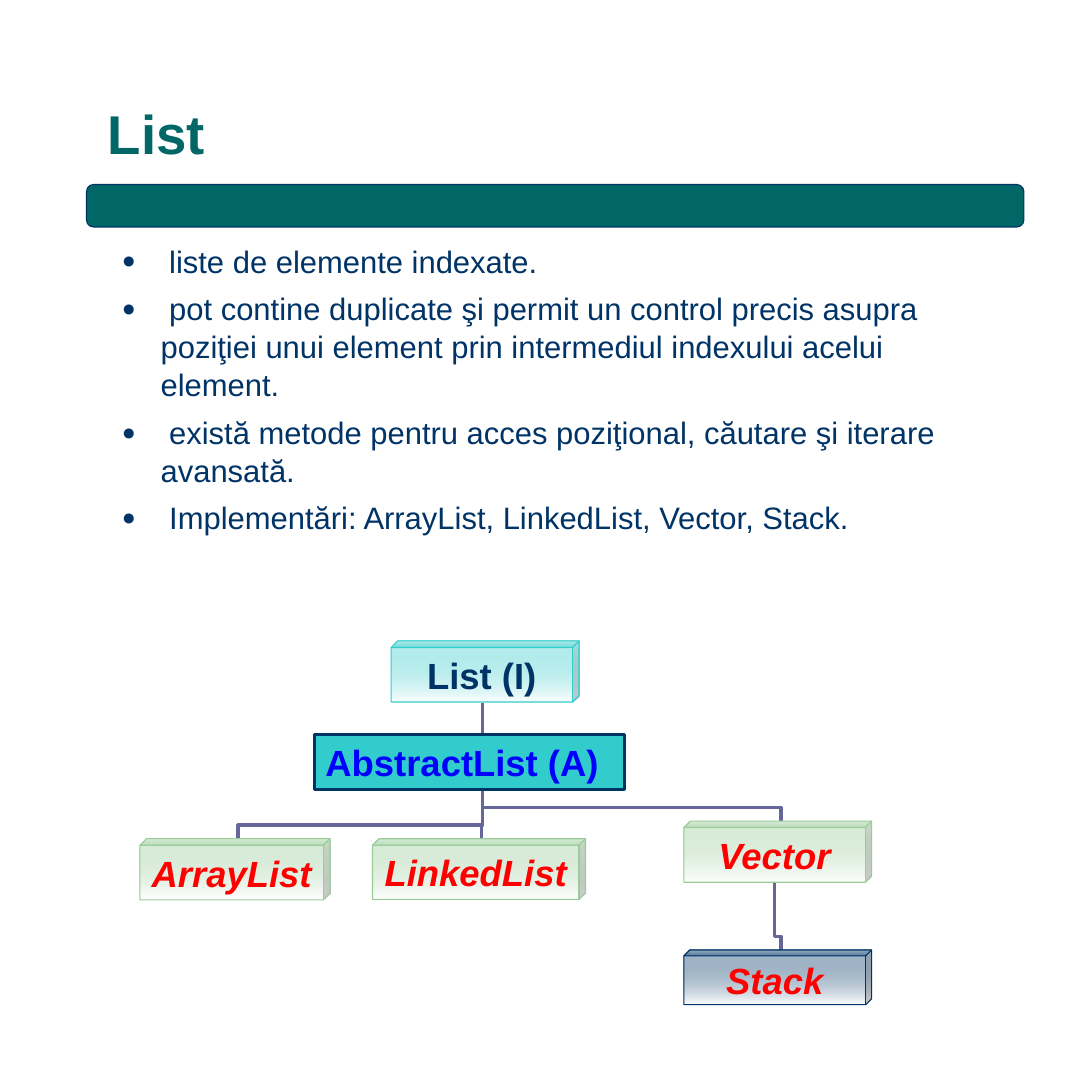
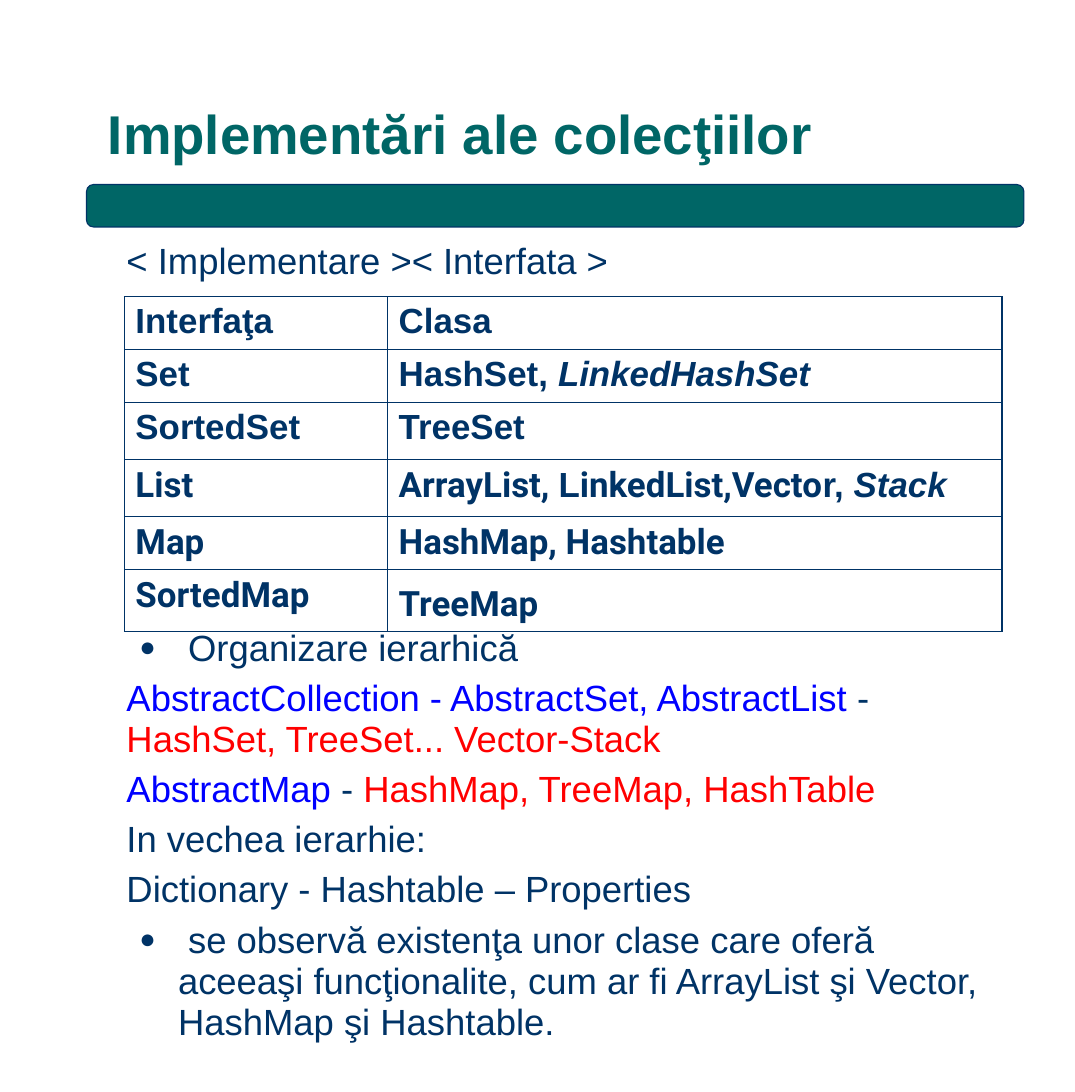
from dataclasses import dataclass

from lxml import etree
from pptx import Presentation
from pptx.dml.color import RGBColor
from pptx.enum import shapes, text
from pptx.oxml import ns
from pptx.util import Pt


@dataclass(frozen=True)
class Theme:
    """Colours, fonts and type sizes of the deck."""
    teal: str = "006666"
    navy: str = "003366"
    aqua: str = "33CCCC"
    green: str = "99CC99"
    slate: str = "666699"
    blue: str = "0000FF"
    red: str = "FF0000"
    white: str = "FFFFFF"
    sans: str = "Arial"
    alt: str = "Roboto"
    head: float = 36
    body: float = 24
    small: float = 20.4
    grid: float = 23
    thin: float = 0.45
    thick: float = 1.08


T = Theme()
SIZE = (708.5, 720)
TITLE = (64, 8, 599, 105)
BAND = (57, 121.7, 617.8, 28)


def rgb(code):
    """Turn a hex code into a colour."""
    return RGBColor.from_string(code)


def pts(*vals):
    """Turn numbers into lengths."""
    return [Pt(v) for v in vals]


def sub(node, tag, **attrs):
    """Append a drawing element to a node."""
    return etree.SubElement(node, ns.qn(tag), attrs)


def add_run(para, words, size, color=T.navy, font=T.sans, bold=False, slant=False):
    """Add one styled run to a paragraph."""
    run = para.add_run()
    run.text = words
    face = run.font
    face.size, face.name, face.bold, face.italic = Pt(size), font, bold, slant
    face.color.rgb = rgb(color)


def set_dot(para):
    """Give a paragraph a hanging round bullet."""
    props = para._p.get_or_add_pPr()
    props.set("marL", str(Pt(34)))
    props.set("indent", str(Pt(-25.5)))
    sub(sub(props, "a:buClr"), "a:srgbClr", val=T.navy)
    sub(props, "a:buSzPct", val="75000")
    sub(props, "a:buFont", typeface=T.sans)
    sub(props, "a:buChar", char="●")


def add_body(slide, box, paras, size, lead):
    """Write paragraphs given as (bullet, runs) in a text box."""
    frame = slide.shapes.add_textbox(*pts(*box)).text_frame
    frame.word_wrap = True
    for i, (dot, runs) in enumerate(paras):
        para = frame.add_paragraph() if i else frame.paragraphs[0]
        para.line_spacing = lead
        para.space_before = Pt(6 if i else 0)
        if dot:
            set_dot(para)
        for words, color in runs:
            add_run(para, words, size, color)


def add_form(slide, kind, box, line, width):
    """Add a preset shape with a plain outline and no shadow."""
    form = slide.shapes.add_shape(kind, *pts(*box))
    form.shadow.inherit = False
    form.line.color.rgb = rgb(line)
    form.line.width = Pt(width)
    return form


def add_head(slide, title):
    """Place the title and the band below it."""
    band = add_form(slide, shapes.MSO_SHAPE.ROUNDED_RECTANGLE, BAND, T.navy, 0.75)
    band.fill.solid()
    band.fill.fore_color.rgb = rgb(T.teal)
    frame = slide.shapes.add_textbox(*pts(*TITLE)).text_frame
    frame.word_wrap = True
    frame.vertical_anchor = text.MSO_ANCHOR.BOTTOM
    para = frame.paragraphs[0]
    para.line_spacing = 0.9
    add_run(para, title, T.head, T.teal, bold=True)


def add_link(slide, x, y, end_x, end_y, bend=9):
    """Draw an elbow that climbs from a child to its parent."""
    mid_x, mid_y = (x + end_x) / 2, (y + end_y) / 2
    rise, run = (y - end_y) / 2, (end_x - x) / 2
    ends = pts(mid_x - rise, mid_y - run, mid_x + rise, mid_y + run)
    link = slide.shapes.add_connector(shapes.MSO_CONNECTOR.ELBOW, *ends)
    link.line.color.rgb = rgb(T.slate)
    link.line.width = Pt(2.25)
    props = link.element.spPr
    props.find(ns.qn("a:xfrm")).set("rot", "16200000")
    guides = props.find(ns.qn("a:prstGeom")).find(ns.qn("a:avLst"))
    share = round(bend / (2 * rise) * 100000)
    sub(guides, "a:gd", name="adj1", fmla=f"val {share}")
    sub(props, "a:effectLst")


def add_cube(slide, box, label, tint, color, slant):
    """Add a cube that fades to white, with a centred label."""
    cube = add_form(slide, shapes.MSO_SHAPE.CUBE, box, tint, 0.75)
    cube.adjustments[0] = 0.108
    cube.fill.gradient()
    cube.fill.gradient_angle = 270
    for stop, shade in zip(cube.fill.gradient_stops, (tint, T.white)):
        stop.color.rgb = rgb(shade)
    first = next(cube.element.spPr.iter(ns.qn("a:srgbClr")))
    sub(first, "a:alpha", val="40000")
    frame = cube.text_frame
    frame.word_wrap = False
    frame.vertical_anchor = text.MSO_ANCHOR.MIDDLE
    para = frame.paragraphs[0]
    para.alignment = text.PP_ALIGN.CENTER
    add_run(para, label, T.body, color, bold=True, slant=slant)


def add_tree(slide, box):
    """Draw the class tree inside a box."""
    left, top = box[:2]
    trunk = (226, 40.2)
    links = [
        ((422.8, 204.4), (418.5, 159)),
        ((422.8, 119.4), trunk),
        ((65, 131), trunk),
        ((225.5, 131), trunk),
    ]
    for (x, y), (end_x, end_y) in links:
        add_link(slide, left + x, top + y, left + end_x, top + end_y)
    cubes = [
        ("List (I)", 165.8, 0.6, 123.8, 40.3, T.aqua, T.navy, False),
        ("LinkedList", 153.5, 131, 140.4, 40, T.green, T.red, True),
        ("ArrayList", 0.2, 131, 125.3, 40.3, T.green, T.red, True),
        ("Vector", 358.7, 119.4, 123.8, 40.3, T.green, T.red, True),
        ("Stack", 358.7, 204.4, 123.8, 36, T.navy, T.red, True),
    ]
    for label, x, y, w, h, tint, color, slant in cubes:
        add_cube(slide, (left + x, top + y, w, h), label, tint, color, slant)
    base = (left + 115.4, top + 62.6, 204.5, 36)
    node = add_form(slide, shapes.MSO_SHAPE.RECTANGLE, base, T.navy, 2)
    node.fill.solid()
    node.fill.fore_color.rgb = rgb(T.aqua)
    node.text_frame.vertical_anchor = text.MSO_ANCHOR.TOP
    para = node.text_frame.paragraphs[0]
    para.alignment = text.PP_ALIGN.LEFT
    add_run(para, "AbstractList (A)", T.body, T.blue, bold=True)


def set_edges(cell, widths):
    """Draw the left, right, top and bottom borders of a cell."""
    props = cell._tc.get_or_add_tcPr()
    for i, (side, width) in enumerate(zip("LRTB", widths)):
        line = etree.Element(ns.qn(f"a:ln{side}"), w=str(Pt(width)))
        sub(sub(line, "a:solidFill"), "a:srgbClr", val=T.navy)
        props.insert(i, line)


def add_grid(slide, box, rows):
    """Build the table of interfaces and classes."""
    heights = (35, 35, 37.4, 37.4, 35, 40.2)
    across = (T.thin, T.thick, T.thick, T.thin, T.thin, T.thin, T.thin)
    down = (T.thick, T.thin, T.thick)
    table = slide.shapes.add_table(len(rows), 2, *pts(*box)).table
    table.first_row = table.horz_banding = False
    for col, share in zip(table.columns, (0.3, 0.7)):
        col.width = Pt(round(box[2] * share, 1))
    for r, (row, high) in enumerate(zip(rows, heights)):
        table.rows[r].height = Pt(high)
        for c, runs in enumerate(row):
            cell = table.cell(r, c)
            cell.fill.background()
            set_edges(cell, (down[c], down[c + 1], across[r], across[r + 1]))
            for words, font, slant in runs:
                para = cell.text_frame.paragraphs[0]
                add_run(para, words, T.grid, font=font, bold=True, slant=slant)
    table.cell(len(rows) - 1, 1).margin_top = Pt(9.6)


def plain(words, font=T.sans):
    """Give a cell that holds one upright run."""
    return [(words, font, False)]


def make_list(slide):
    """Fill the slide on lists."""
    add_head(slide, "List")
    points = (
        " liste de elemente indexate.",
        " pot contine duplicate şi permit un control precis asupra poziţiei "
        "unui element prin intermediul indexului acelui element.",
        " există metode pentru acces poziţional, căutare şi iterare avansată.",
        " Implementări: ArrayList, LinkedList, Vector, Stack.",
    )
    paras = [(True, [(point, T.navy)]) for point in points]
    add_body(slide, (64.8, 155.5, 607, 204.5), paras, T.small, 1.03)
    add_tree(slide, (92, 422, 483, 241))


def make_impl(slide):
    """Fill the slide on implementations."""
    add_head(slide, "Implementări ale colecţiilor")
    intro = [(False, [("< Implementare >< Interfata >", T.navy)])]
    add_body(slide, (76.3, 155.5, 595.4, 36), intro, T.body, 0.94)
    notes = [
        (True, [(" Organizare ierarhică", T.navy)]),
        (False, [("AbstractCollection - AbstractSet, AbstractList", T.blue),
                 (" - ", T.navy),
                 ("HashSet, TreeSet... Vector-Stack", T.red)]),
        (False, [("AbstractMap", T.blue), (" - ", T.navy),
                 ("HashMap, TreeMap, HashTable", T.red)]),
        (False, [("In vechea ierarhie:", T.navy)]),
        (False, [("Dictionary - Hashtable – Properties", T.navy)]),
        (True, [(" se observă existenţa unor clase care oferă aceeaşi "
                 "funcţionalite, cum ar fi ArrayList şi Vector, HashMap şi "
                 "Hashtable.", T.navy)]),
    ]
    add_body(slide, (76.3, 410.7, 595.4, 283.5), notes, T.body, 0.94)
    rows = [
        (plain("Interfaţa"), plain("Clasa")),
        (plain("Set"), plain("HashSet, ") + [("LinkedHashSet", T.sans, True)]),
        (plain("SortedSet"), plain("TreeSet")),
        (plain("List", T.alt),
         plain("ArrayList, ", T.alt) + plain("L")
         + plain("inkedList,Vecto", T.alt) + plain("r, ")
         + [("Stack", T.sans, True)]),
        (plain("Map", T.alt), plain("HashMap, Hashtable", T.alt)),
        (plain("SortedMap", T.alt), plain("TreeMap", T.alt)),
    ]
    add_grid(slide, (82.1, 195.6, 578.2, 220), rows)


def main():
    """Build the deck and save it."""
    deck = Presentation()
    deck.slide_width, deck.slide_height = pts(*SIZE)
    for make in (make_list, make_impl):
        make(deck.slides.add_slide(deck.slide_layouts[6]))
    deck.save("out.pptx")


if __name__ == "__main__":
    main()
